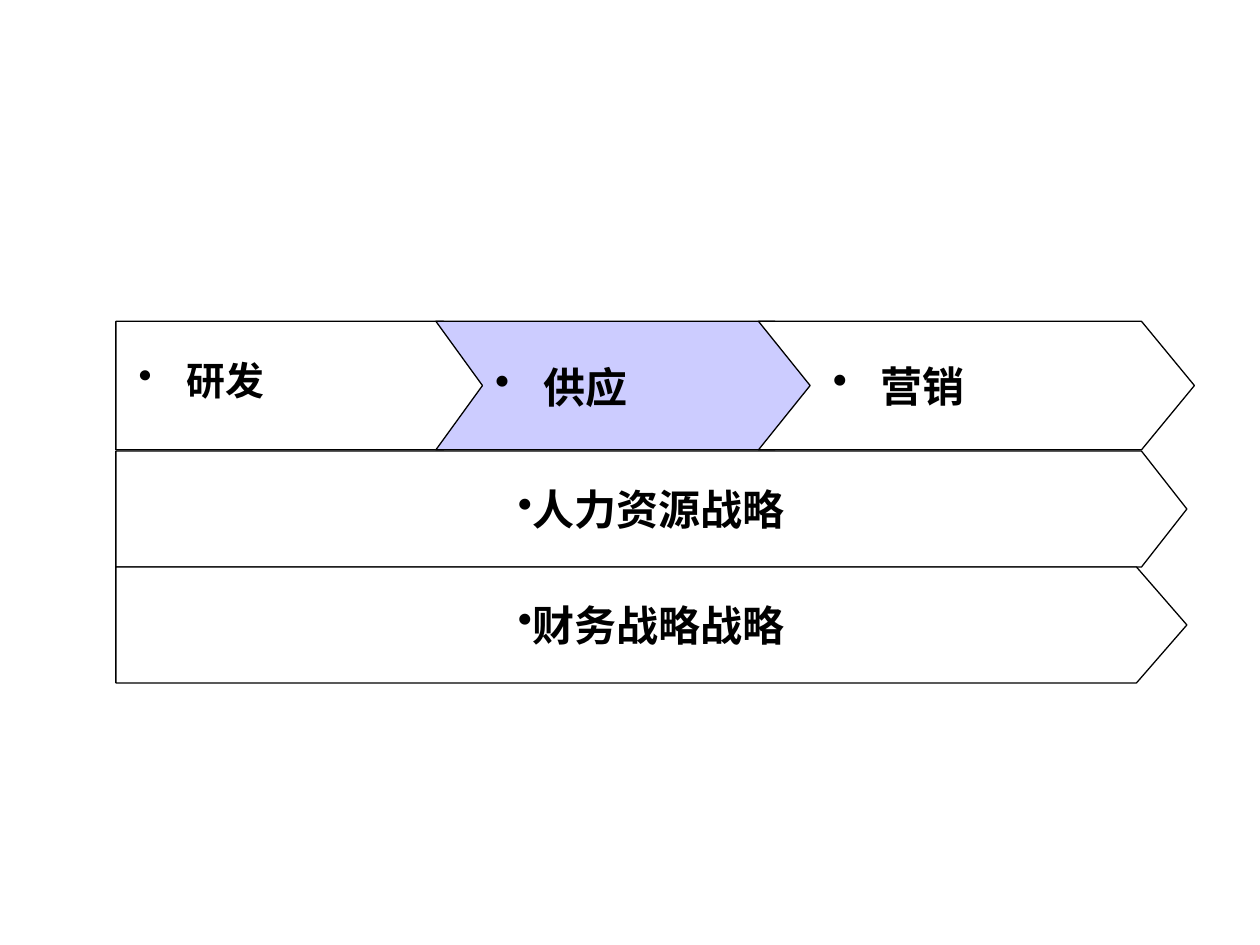
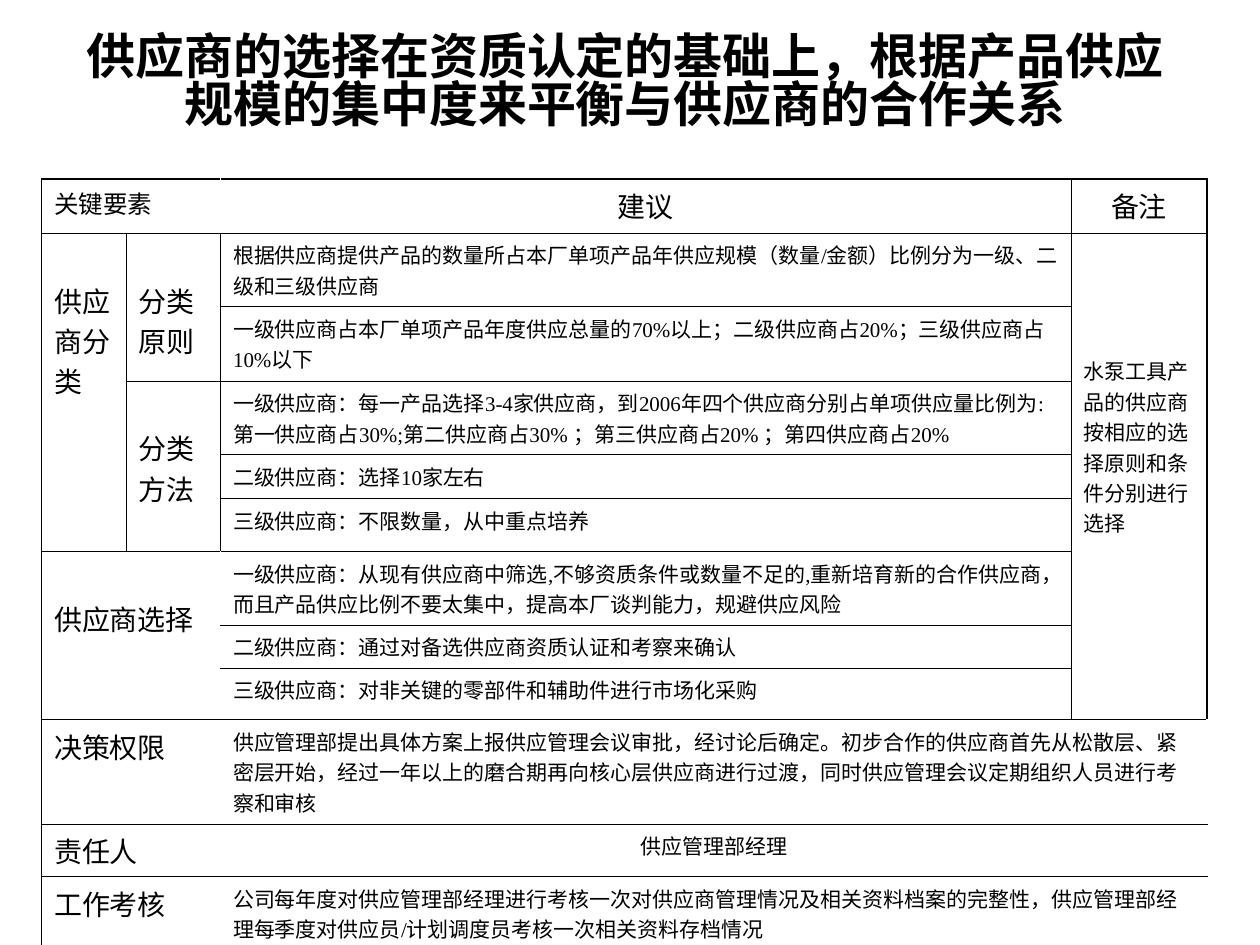
from lxml import etree
from pptx import Presentation
from pptx.dml.color import RGBColor
from pptx.enum import text
from pptx.oxml import ns
from pptx.util import Inches, Pt

BLACK, WHITE, LILAC = "000000", "FFFFFF", "CCCCFF"
SANS, SERIF = "Noto Sans CJK SC", "Times New Roman"
THIN, THICK = 0.45, 1.08
CENTER, LEFT = text.PP_ALIGN.CENTER, text.PP_ALIGN.LEFT

# Value chain: (label, left, right, head depth, notch depth)
CHAIN_LEFT, CHAIN_TOP, CHAIN_HEIGHT = 0.92, 2.55, 1.02
STAGES = [
    (CHAIN_LEFT, 3.88, 0.36, 0, WHITE),
    (3.46, 6.52, 0.37, 0.37, LILAC),
    (6.02, 9.48, 0.42, 0.41, WHITE),
]
# Stage labels: (text, left, top, width, height, size, line spacing)
LABELS = [
    ("研发", 1.05, 2.84, 1.98, 0.40, 22.2, 0.9),
    ("供应", 3.88, 2.63, 2.09, 0.88, 24, 1.0),
    ("营销", 6.56, 2.62, 1.96, 0.88, 24, 1.0),
]
# Supporting strategies: (label, head depth)
SUPPORT_TOP, SUPPORT_HEIGHT, SUPPORT_RIGHT = 3.58, 0.92, 9.42
SUPPORTS = [("人力资源战略", 0.36), ("财务战略战略", 0.4)]

TITLE = "供应商的选择在资质认定的基础上，根据产品供应规模的集中度来平衡与供应商的合作关系"
COLUMNS = [0.67, 0.75, 6.75, 1.08]
ROWS = [0.43, 0.55, 0.59, 0.5, 0.35, 0.42, 0.58, 0.3, 0.41, 0.7, 0.41, 0.5]
LOWERED = 0.37  # top margin of the group headings
# Cells: (row, column, row span, column span, text, size, alignment, top margin)
CELLS = [
    (0, 0, 1, 2, "关键要素", 14, LEFT, 0.05),
    (0, 2, 1, 1, "建议", 16, CENTER, 0.05),
    (0, 3, 1, 1, "备注", 16, CENTER, 0.05),
    (1, 0, 5, 1, "供应商分类", 16, LEFT, LOWERED),
    (1, 1, 2, 1, "分类原则", 16, LEFT, LOWERED),
    (3, 1, 3, 1, "分类方法", 16, LEFT, LOWERED),
    (6, 0, 3, 2, "供应商选择", 16, LEFT, LOWERED),
    (1, 3, 8, 1, "水泵工具产品的供应商按相应的选择原则和条件分别进行选择", 12, LEFT, 0.97),
    (9, 0, 1, 2, "决策权限", 16, LEFT, 0.05),
    (9, 2, 1, 2, "供应管理部提出具体方案上报供应管理会议审批，经讨论后确定。"
     "初步合作的供应商首先从松散层、紧密层开始，经过一年以上的磨合期再向核心层供应商进行过渡，"
     "同时供应管理会议定期组织人员进行考察和审核", 12, LEFT, 0.05),
    (10, 0, 1, 2, "责任人", 16, LEFT, 0.05),
    (10, 2, 1, 2, "供应管理部经理", 12, CENTER, 0.05),
    (11, 0, 1, 2, "工作考核", 16, LEFT, 0.05),
    (11, 2, 1, 2, "公司每年度对供应管理部经理进行考核一次对供应商管理情况及相关资料档案的完整性，"
     "供应管理部经理每季度对供应员/计划调度员考核一次相关资料存档情况", 12, LEFT, 0.05),
]
# Recommendations fill rows 1 to 8 of the wide column
ADVICE = [
    "根据供应商提供产品的数量所占本厂单项产品年供应规模（数量/金额）比例分为一级、二级和三级供应商",
    "一级供应商占本厂单项产品年度供应总量的70%以上；二级供应商占20%；三级供应商占10%以下",
    "一级供应商：每一产品选择3-4家供应商，到2006年四个供应商分别占单项供应量比例为:"
    "第一供应商占30%;第二供应商占30% ；第三供应商占20% ；第四供应商占20%",
    "二级供应商：选择10家左右",
    "三级供应商：不限数量，从中重点培养",
    "一级供应商：从现有供应商中筛选,不够资质条件或数量不足的,重新培育新的合作供应商，"
    "而且产品供应比例不要太集中，提高本厂谈判能力，规避供应风险",
    "二级供应商：通过对备选供应商资质认证和考察来确认",
    "三级供应商：对非关键的零部件和辅助件进行市场化采购",
]


def color(value):
    return RGBColor.from_string(value)


def add_element(parent, tag, **attributes):
    return etree.SubElement(parent, ns.qn(tag), attributes)


def write(text_frame, words, size, font=SERIF, bold=False, align=LEFT):
    """Set the words of a frame and format them."""
    text_frame.text = words
    paragraph = text_frame.paragraphs[0]
    paragraph.alignment = align
    for run in paragraph.runs:
        run.font.size, run.font.bold, run.font.name = Pt(size), bold, font
        run.font.color.rgb = color(BLACK)
        add_element(run.font._element, "a:ea", typeface=SANS)
    return paragraph


def add_bullet(paragraph, indent=0):
    properties = paragraph._p.get_or_add_pPr()
    properties.set("marL", str(Inches(indent)))
    properties.set("indent", str(-Inches(indent)))
    bullet_color = add_element(properties, "a:buClr")
    add_element(bullet_color, "a:srgbClr", val=BLACK)
    add_element(properties, "a:buChar", char="•")


def add_arrow(slide, left, top, right, height, head, notch=0, fill=WHITE):
    """Draw a block arrow pointing right, notched at the left if asked."""
    middle, bottom = top + height / 2, top + height
    points = [(left, top), (right - head, top), (right, middle),
              (right - head, bottom), (left, bottom)]
    if notch:
        points.append((left + notch, middle))
    points = [(Inches(x), Inches(y)) for x, y in points]
    builder = slide.shapes.build_freeform(*points[0])
    builder.add_line_segments(points[1:], close=True)
    shape = builder.convert_to_shape()
    shape.shadow.inherit = False
    shape.fill.solid()
    shape.fill.fore_color.rgb = color(fill)
    shape.line.color.rgb = color(BLACK)
    shape.line.width = Pt(0.75)
    return shape


def add_label(slide, words, left, top, width, height, size, spacing):
    box = slide.shapes.add_textbox(*map(Inches, (left, top, width, height)))
    frame = box.text_frame
    frame.word_wrap = True
    frame.vertical_anchor = text.MSO_ANCHOR.MIDDLE
    frame.margin_left = frame.margin_right = Inches(0.05)
    frame.margin_top = frame.margin_bottom = 0
    paragraph = write(frame, words, size, SANS, bold=True)
    paragraph.line_spacing = spacing
    add_bullet(paragraph, 0.38)


def add_border(cell, side, width):
    line = add_element(cell._tc.get_or_add_tcPr(), f"a:ln{side}", w=str(Pt(width)))
    fill = add_element(line, "a:solidFill")
    add_element(fill, "a:srgbClr", val=BLACK)


def border_area(table, row, column, row_span, column_span):
    """Outline a cell or merged area, thicker along the table's edge."""
    last_row, last_column = row + row_span - 1, column + column_span - 1
    for r in range(row, last_row + 1):
        for c in range(column, last_column + 1):
            cell = table.cell(r, c)
            sides = [("L", c == column, c == 0),
                     ("R", c == last_column, c == len(COLUMNS) - 1),
                     ("T", r == row, r == 0),
                     ("B", r == last_row, r == len(ROWS) - 1)]
            for side, on_area_edge, on_table_edge in sides:
                if on_area_edge:
                    add_border(cell, side, THICK if on_table_edge else THIN)
            cell.fill.background()


def add_cell(table, row, column, row_span, column_span, words, size, align, margin_top):
    cell = table.cell(row, column)
    if row_span * column_span > 1:
        cell.merge(table.cell(row + row_span - 1, column + column_span - 1))
    border_area(table, row, column, row_span, column_span)
    cell.margin_left = cell.margin_right = Inches(0.1)
    cell.margin_top, cell.margin_bottom = Inches(margin_top), Inches(0.05)
    write(cell.text_frame, words, size, align=align)


def add_title(slide, words):
    title = slide.shapes.title
    title.left, title.top, title.width, title.height = map(Inches, (0.42, 0.33, 9.08, 0.67))
    frame = title.text_frame
    frame.auto_size = text.MSO_AUTO_SIZE.NONE
    frame.vertical_anchor = text.MSO_ANCHOR.MIDDLE
    write(frame, words, 28, SANS, True, CENTER).line_spacing = 0.82


def build_value_chain(presentation):
    slide = presentation.slides.add_slide(presentation.slide_layouts[6])
    for left, right, head, notch, fill in STAGES:
        add_arrow(slide, left, CHAIN_TOP, right, CHAIN_HEIGHT, head, notch, fill)
    for label in LABELS:
        add_label(slide, *label)
    for index, (words, head) in enumerate(SUPPORTS):
        top = SUPPORT_TOP + index * SUPPORT_HEIGHT
        arrow = add_arrow(slide, CHAIN_LEFT, top, SUPPORT_RIGHT, SUPPORT_HEIGHT, head)
        arrow.text_frame.word_wrap = False
        arrow.text_frame.vertical_anchor = text.MSO_ANCHOR.MIDDLE
        add_bullet(write(arrow.text_frame, words, 24, bold=True, align=CENTER))


def build_supplier_table(presentation):
    slide = presentation.slides.add_slide(presentation.slide_layouts[5])
    add_title(slide, TITLE)
    frame = slide.shapes.add_table(len(ROWS), len(COLUMNS), Inches(0.33), Inches(1.42),
                                   Inches(sum(COLUMNS)), Inches(sum(ROWS)))
    table = frame.table
    table.first_row = table.horz_banding = False
    for column, width in zip(table.columns, COLUMNS):
        column.width = Inches(width)
    for row, height in zip(table.rows, ROWS):
        row.height = Inches(height)
    for cell in CELLS:
        add_cell(table, *cell)
    for row, words in enumerate(ADVICE, start=1):
        add_cell(table, row, 2, 1, 1, words, 12, LEFT, 0.05)


def main():
    presentation = Presentation()
    presentation.slide_width, presentation.slide_height = Inches(10), Inches(7.5)
    build_value_chain(presentation)
    build_supplier_table(presentation)
    presentation.save("out.pptx")


if __name__ == "__main__":
    main()
